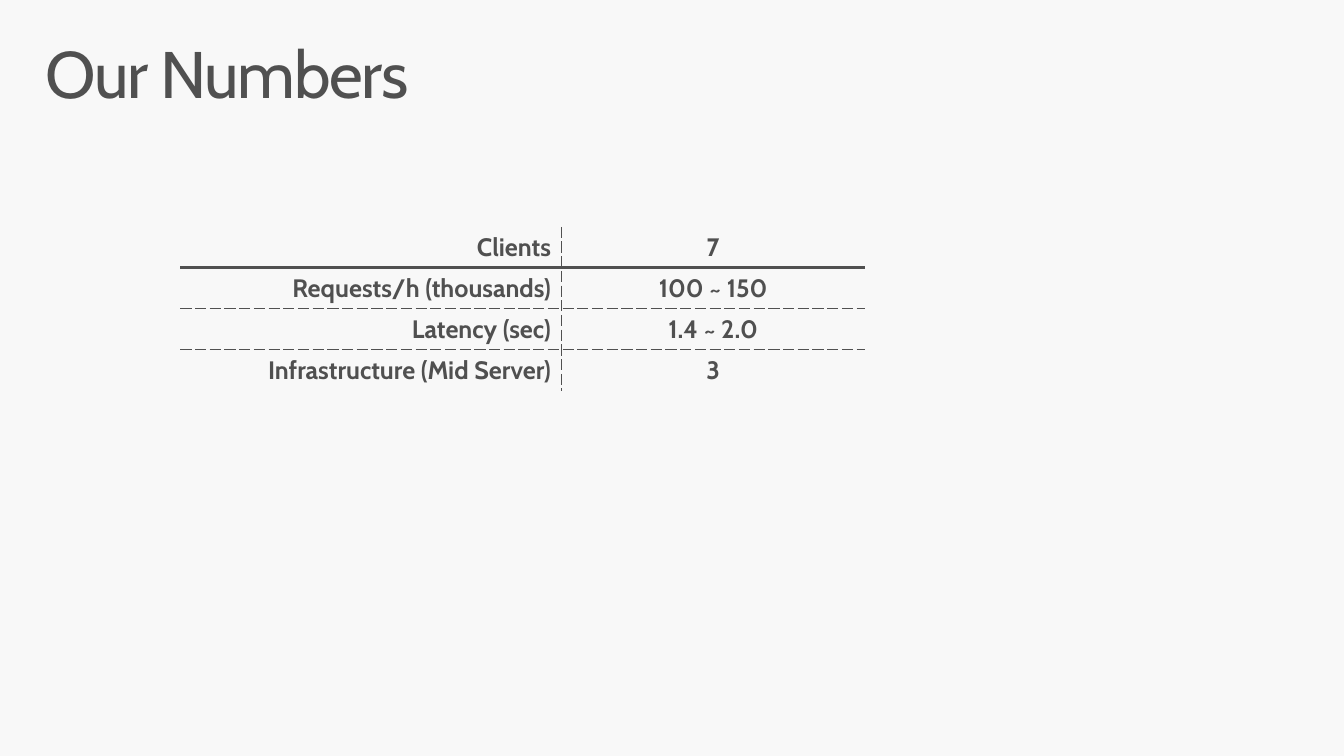
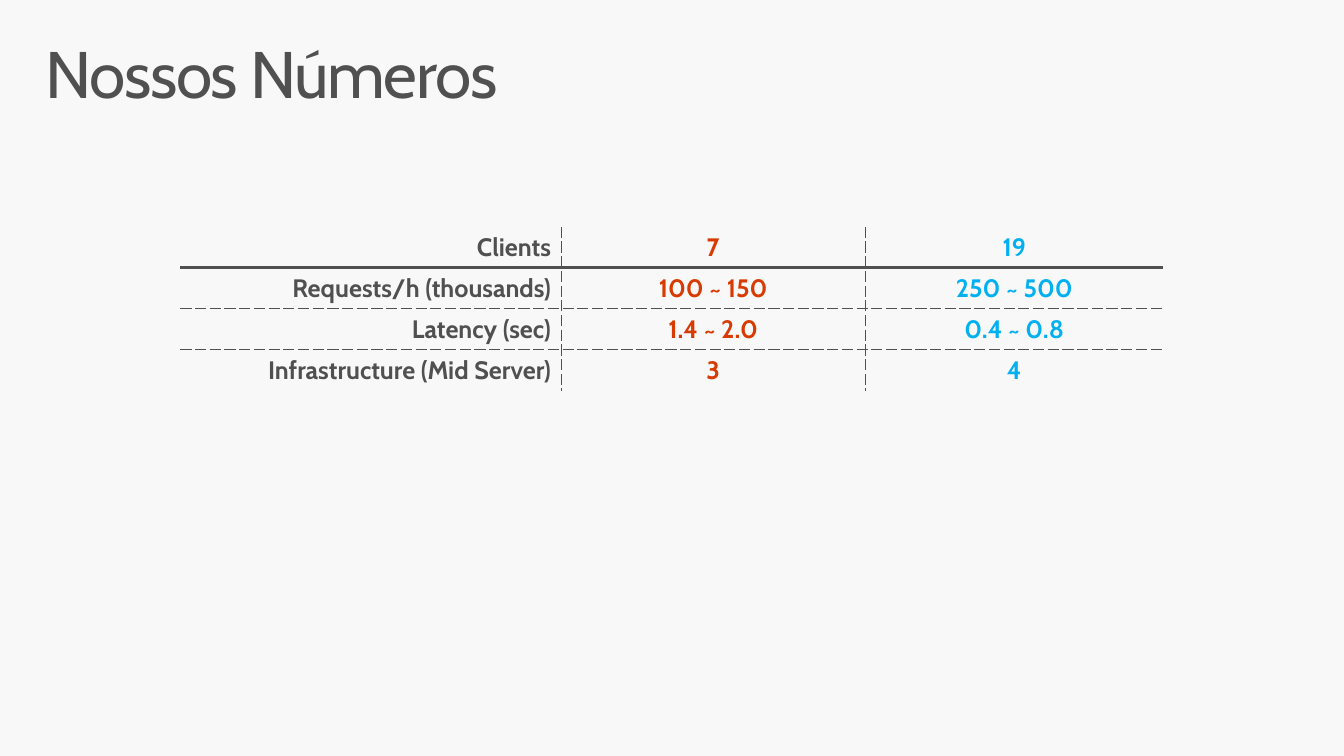
from dataclasses import dataclass

from lxml.etree import SubElement
from pptx import Presentation
from pptx.dml.color import RGBColor as Color
from pptx.enum.text import MSO_ANCHOR as Anchor, PP_ALIGN as Align
from pptx.oxml.ns import qn
from pptx.util import Pt


@dataclass(frozen=True)
class Theme:
    font: str = "Cabin"
    background: str = "F8F8F8"
    ink: str = "505050"
    before: str = "D83B01"
    after: str = "00B0F0"
    title_size: float = 47
    table_size: float = 18
    rule: float = 2.25
    dash: float = 1


THEME = Theme()
NO_STYLE = "{2D5ABB26-0587-4C30-8999-92F81FD0307C}"

# Table content: one list per column
LABELS = ["Clients", "Requests/h (thousands)", "Latency (sec)", "Infrastructure (Mid Server)"]
BEFORE = ["7", "100 ~ 150", "1.4 ~ 2.0", "3"]
AFTER = ["19", "250 ~ 500", "0.4 ~ 0.8", "4"]

# Table grid, in points
TABLE_LEFT, TABLE_TOP, ROW_HEIGHT = 128.8, 162, 29.3
COLUMN_WIDTHS = [272, 217.2, 213]


def style_font(para, size, color, bold=False):
    font = para.font
    font.name, font.size, font.bold = THEME.font, Pt(size), bold
    font.color.rgb = Color.from_string(color)


def set_up_template(deck):
    """Set the background and the title box that all slides share."""
    fill = deck.slide_master.background.fill
    fill.solid()
    fill.fore_color.rgb = Color.from_string(THEME.background)
    layout = deck.slide_layouts.get_by_name("Title Only")
    box = layout.placeholders[0]
    box.left, box.top, box.width, box.height = Pt(21), Pt(22.4), Pt(918), Pt(70.6)
    frame = box.text_frame
    frame.vertical_anchor = Anchor.TOP
    frame.margin_left = frame.margin_right = Pt(11.5)
    frame.margin_top = frame.margin_bottom = Pt(7.2)
    return layout


def add_page(deck, layout, title):
    page = deck.slides.add_slide(layout)
    para = page.shapes.title.text_frame.paragraphs[0]
    span = para.add_run()
    span.text = title
    span.font._element.set("spc", "-100")
    para.alignment = Align.LEFT
    para.line_spacing = 0.9
    style_font(para, THEME.title_size, THEME.ink)
    return page


def add_border(cell, side, width, dash):
    line = SubElement(cell._tc.get_or_add_tcPr(), qn(f"a:ln{side}"), w=str(Pt(width)))
    fill = SubElement(line, qn("a:solidFill"))
    SubElement(fill, qn("a:srgbClr"), val=THEME.ink)
    SubElement(line, qn("a:prstDash"), val=dash)


def draw_borders(cell, row, column, row_count, column_count):
    """Rule the inner edges: solid under the first row, dashed elsewhere."""
    dashed, solid = (THEME.dash, "sysDash"), (THEME.rule, "solid")
    edges = [
        ("L", column > 0, dashed),
        ("R", column < column_count - 1, dashed),
        ("T", row > 0, solid if row == 1 else dashed),
        ("B", row < row_count - 1, solid if row == 0 else dashed),
    ]
    for side, is_inner, style in edges:
        if is_inner:
            add_border(cell, side, *style)


def add_numbers_table(page, columns):
    """Draw a table from (texts, colour) columns; the first holds the labels."""
    row_count, column_count = len(LABELS), len(columns)
    widths = COLUMN_WIDTHS[:column_count]
    frame = page.shapes.add_table(
        row_count, column_count, Pt(TABLE_LEFT), Pt(TABLE_TOP),
        Pt(sum(widths)), Pt(ROW_HEIGHT * row_count))
    table = frame.table
    table.first_row = table.horz_banding = False
    table._tbl.tblPr.find(qn("a:tableStyleId")).text = NO_STYLE
    for table_row in table.rows:
        table_row.height = Pt(ROW_HEIGHT)
    for column, (texts, color) in enumerate(columns):
        table.columns[column].width = Pt(widths[column])
        for row, text in enumerate(texts):
            cell = table.cell(row, column)
            cell.text = text
            para = cell.text_frame.paragraphs[0]
            para.alignment = Align.CENTER if column else Align.RIGHT
            style_font(para, THEME.table_size, color, bold=True)
            draw_borders(cell, row, column, row_count, column_count)
            cell.fill.background()


def main():
    deck = Presentation()
    deck.slide_width, deck.slide_height = Pt(960), Pt(540)
    layout = set_up_template(deck)

    # Current numbers
    page = add_page(deck, layout, "Our Numbers")
    add_numbers_table(page, [(LABELS, THEME.ink), (BEFORE, THEME.ink)])

    # Before and after
    page = add_page(deck, layout, "Nossos Números")
    add_numbers_table(
        page, [(LABELS, THEME.ink), (BEFORE, THEME.before), (AFTER, THEME.after)])

    deck.save("out.pptx")


if __name__ == "__main__":
    main()
